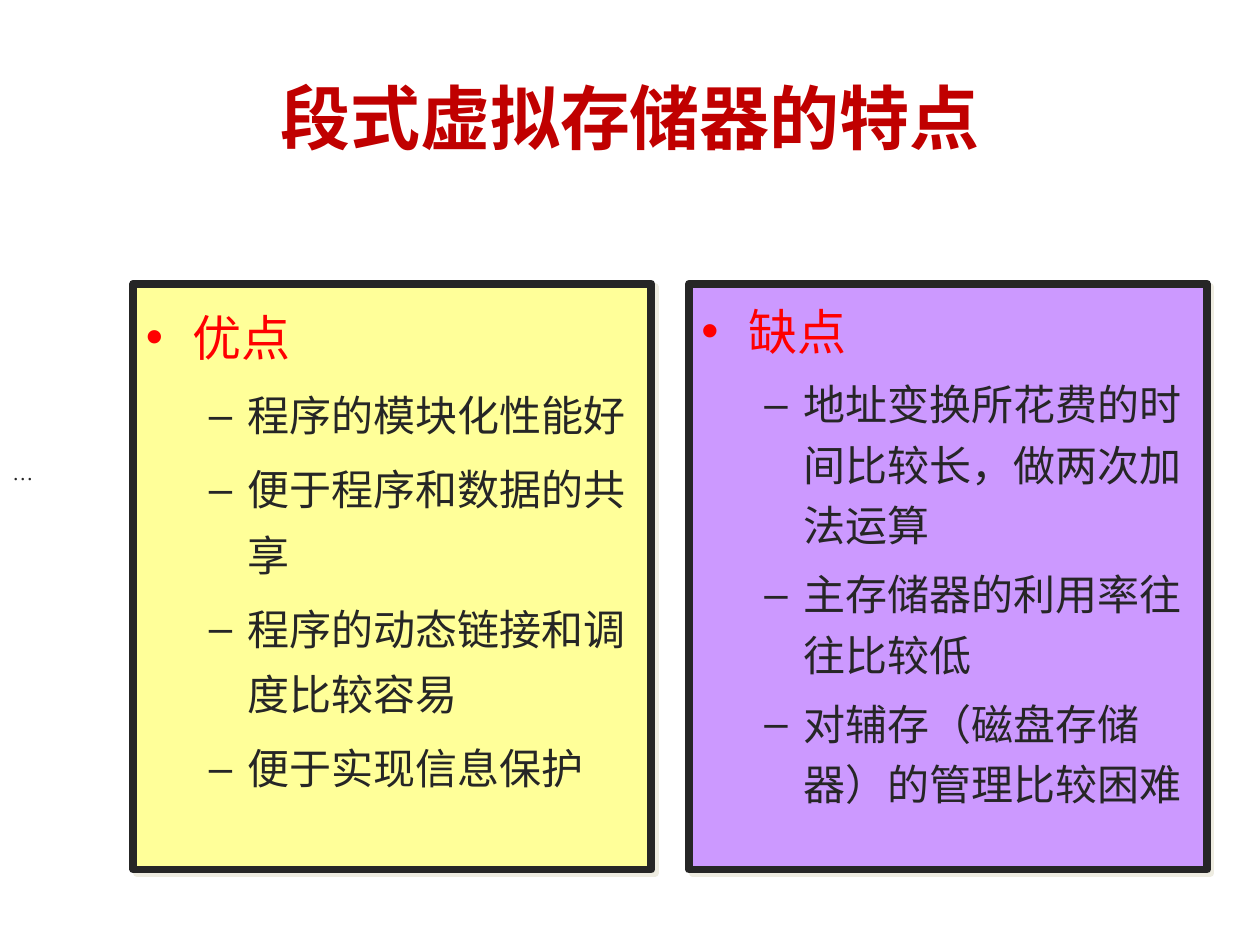
from lxml import etree
from pptx import Presentation
from pptx.dml.color import RGBColor
from pptx.enum.shapes import MSO_SHAPE
from pptx.enum.text import MSO_ANCHOR, PP_ALIGN
from pptx.oxml.ns import qn
from pptx.util import Cm, Pt

RECT = MSO_SHAPE.RECTANGLE
TOP, MIDDLE = MSO_ANCHOR.TOP, MSO_ANCHOR.MIDDLE
LEFT, CENTER = PP_ALIGN.LEFT, PP_ALIGN.CENTER
CRIMSON = RGBColor(0xC0, 0x00, 0x00)
RED = RGBColor(0xFF, 0x00, 0x00)
DARK = RGBColor(0x26, 0x26, 0x26)
YELLOW = RGBColor(0xFF, 0xFF, 0x99)
PURPLE = RGBColor(0xCC, 0x99, 0xFF)
CREAM = RGBColor(0xEE, 0xEC, 0xE1)
HAN = "Noto Sans CJK SC"


def style(para, size, color, name, bold=False):
    font = para.font
    font.size, font.bold, font.name = Pt(size), bold, name
    font.color.rgb = color
    props = para._p.pPr.find(qn("a:defRPr"))
    etree.SubElement(props, qn("a:ea"), typeface=HAN)


def bullet(para, mark, left, hang):
    props = para._p.get_or_add_pPr()
    props.set("marL", str(Cm(left)))
    props.set("indent", str(-Cm(hang)))
    etree.SubElement(props, qn("a:buFont"), typeface="Arial")
    etree.SubElement(props, qn("a:buChar"), char=mark)


deck = Presentation()
deck.slide_width, deck.slide_height = Cm(25.4), Cm(19.05)
slide = deck.slides.add_slide(deck.slide_layouts[6])
shapes = slide.shapes

# Title
title = shapes.add_textbox(Cm(1.27), Cm(0.76), Cm(22.86), Cm(3.18))
frame = title.text_frame
frame.word_wrap = True
frame.vertical_anchor = MIDDLE
para = frame.paragraphs[0]
para.text = "段式虚拟存储器的特点"
para.alignment = CENTER
style(para, 40, CRIMSON, HAN, True)

# Panels: left edge, fill, line spacing, heading, points
panels = [
    (2.69, YELLOW, 1.3, "优点",
     ["程序的模块化性能好", "便于程序和数据的共享",
      "程序的动态链接和调度比较容易", "便于实现信息保护"]),
    (13.89, PURPLE, 1.2, "缺点",
     ["地址变换所花费的时间比较长，做两次加法运算",
      "主存储器的利用率往往比较低",
      "对辅存（磁盘存储器）的管理比较困难"]),
]
for left, fill, space, head, points in panels:
    box = shapes.add_shape(RECT, Cm(left), Cm(5.72), Cm(10.44), Cm(11.81))
    box.fill.solid()
    box.fill.fore_color.rgb = fill
    box.line.color.rgb = DARK
    box.line.width = Pt(4.5)

    # Hard offset shadow
    box.shadow.inherit = False
    effects = box._element.spPr.find(qn("a:effectLst"))
    shade = etree.SubElement(effects, qn("a:outerShdw"), blurRad="0",
                             dist=str(Pt(2.8)), dir=str(45 * 60000),
                             algn="ctr", rotWithShape="0")
    etree.SubElement(shade, qn("a:srgbClr"), val=str(CREAM))

    # Heading and points
    frame = box.text_frame
    frame.word_wrap = True
    frame.vertical_anchor = TOP
    for row, text in enumerate([head] + points):
        para = frame.add_paragraph() if row else frame.paragraphs[0]
        para.text = text
        para.alignment = LEFT
        para.line_spacing = space
        if row:
            para.level = 1
            para.space_before = Pt(4.8)
            bullet(para, "–", 2.06, 0.79)
            style(para, 24, DARK, "Calibri")
        else:
            bullet(para, "•", 0.95, 0.95)
            style(para, 28, RED, "Calibri")

# Side mark
note = shapes.add_textbox(Cm(0), Cm(9.14), Cm(25.4), Cm(0.76))
note.text_frame.word_wrap = True
para = note.text_frame.paragraphs[0]
para.text = "…"
style(para, 12, DARK, "Times New Roman")

deck.save("out.pptx")
